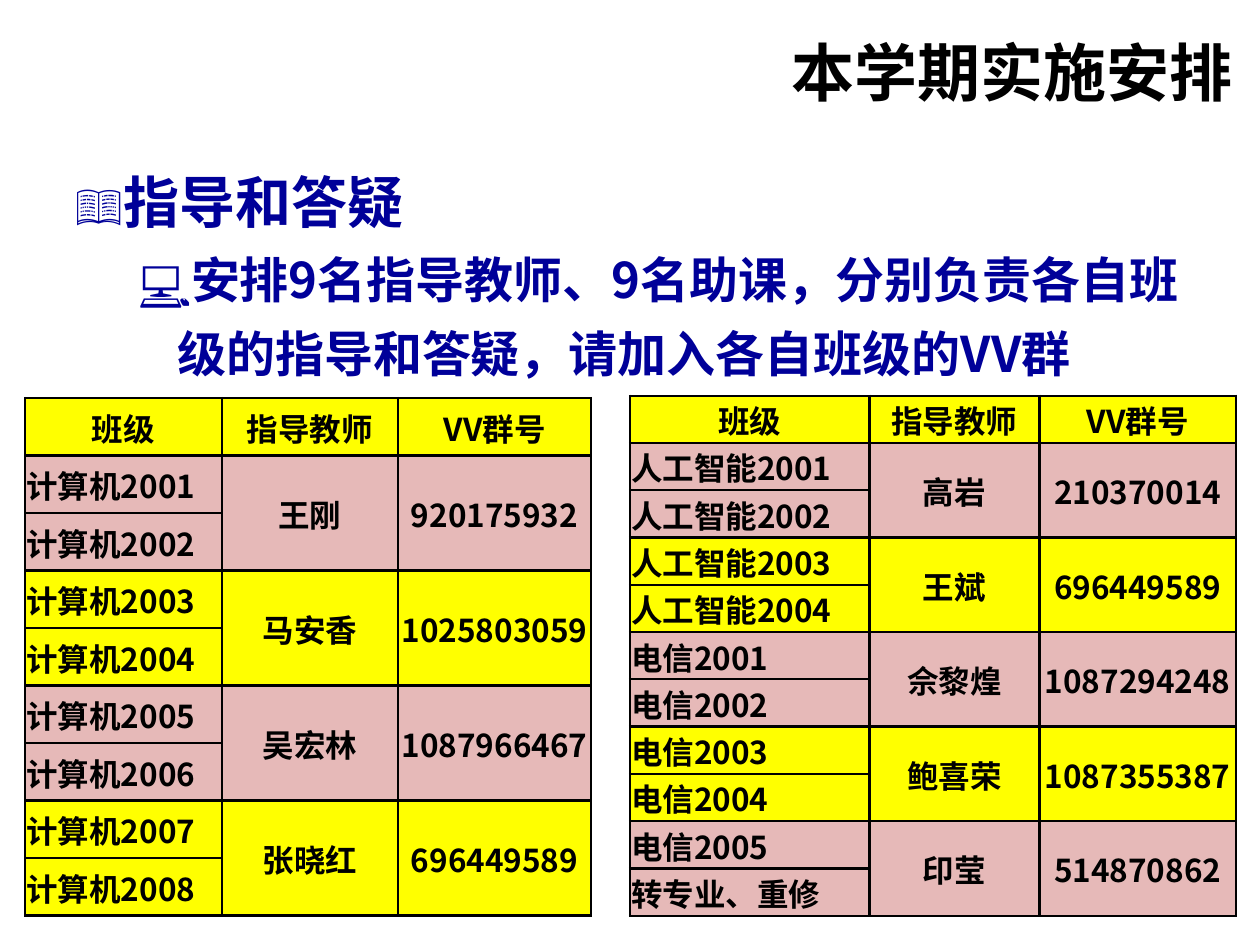
import pptx
import pptx.dml.color
import pptx.enum.text
import pptx.oxml
import pptx.oxml.ns
import pptx.util
from pptx.dml.color import RGBColor
from pptx.util import Inches

BLACK = RGBColor(0x00, 0x00, 0x00)
NAVY = RGBColor(0x00, 0x00, 0x99)
YELLOW = RGBColor(0xFF, 0xFF, 0x00)
PINK = RGBColor(0xE6, 0xB9, 0xB8)
FONT = "Noto Sans CJK SC"
ALIGN = pptx.enum.text.PP_ALIGN
MIDDLE = pptx.enum.text.MSO_ANCHOR.MIDDLE
A_NS = pptx.oxml.ns.nsdecls("a")

CELL_FORMAT = {
    "margin_left": Inches(0.01),
    "margin_right": Inches(0.01),
    "margin_top": Inches(0.01),
    "margin_bottom": 0,
    "vertical_anchor": MIDDLE,
}
HEADINGS = ["班级", "指导教师", "VV群号"]

# Each group: two classes, their teacher, their chat group number
COMPUTING = [
    (["计算机2001", "计算机2002"], "王刚", "920175932"),
    (["计算机2003", "计算机2004"], "马安香", "1025803059"),
    (["计算机2005", "计算机2006"], "吴宏林", "1087966467"),
    (["计算机2007", "计算机2008"], "张晓红", "696449589"),
]
AI_AND_TELECOM = [
    (["人工智能2001", "人工智能2002"], "高岩", "210370014"),
    (["人工智能2003", "人工智能2004"], "王斌", "696449589"),
    (["电信2001", "电信2002"], "佘黎煌", "1087294248"),
    (["电信2003", "电信2004"], "鲍喜荣", "1087355387"),
    (["电信2005", "转专业、重修"], "印莹", "514870862"),
]


def set_all(target, values):
    for name, value in values.items():
        setattr(target, name, value)


def write(paragraph, text, size, color, align=ALIGN.LEFT):
    paragraph.alignment = align
    run = paragraph.add_run()
    run.text = text
    set_all(run.font, {"name": FONT, "size": pptx.util.Pt(size), "bold": True})
    run.font.color.rgb = color
    run.font._element.find(pptx.oxml.ns.qn("a:latin")).addnext(
        pptx.oxml.parse_xml(f'<a:ea {A_NS} typeface="{FONT}"/>'))


def add_frame(slide, left, top, width, height):
    frame = slide.shapes.add_textbox(
        Inches(left), Inches(top), Inches(width), Inches(height)).text_frame
    frame.word_wrap = True
    return frame


def set_bullet(paragraph, symbol, margin, indent, percent):
    properties = paragraph._p.get_or_add_pPr()
    properties.set("marL", str(Inches(margin)))
    properties.set("indent", str(Inches(indent)))
    for xml in (f'<a:buSzPct {A_NS} val="{percent * 1000}"/>',
                f'<a:buFont {A_NS} typeface="{FONT}"/>',
                f'<a:buChar {A_NS} char="{symbol}"/>'):
        properties.append(pptx.oxml.parse_xml(xml))


def fill_cell(cell, text, color, align):
    set_all(cell, CELL_FORMAT)
    properties = cell._tc.get_or_add_tcPr()
    for side in "LRTB":
        properties.append(pptx.oxml.parse_xml(
            f'<a:ln{side} {A_NS} w="{pptx.util.Pt(1.5)}"><a:solidFill>'
            f'<a:srgbClr val="{BLACK}"/></a:solidFill></a:ln{side}>'))
    cell.fill.solid()
    cell.fill.fore_color.rgb = color
    if text:
        write(cell.text_frame.paragraphs[0], text, 18, BLACK, align)


def add_class_table(slide, left, top, height, widths, groups):
    row_count = 1 + 2 * len(groups)
    table = slide.shapes.add_table(
        row_count, len(widths), Inches(left), Inches(top),
        Inches(sum(widths)), Inches(height)).table
    for column, width in zip(table.columns, widths):
        column.width = Inches(width)
    for row in table.rows:
        row.height = Inches(height / row_count)

    # Heading row
    for column, heading in enumerate(HEADINGS):
        fill_cell(table.cell(0, column), heading, YELLOW, ALIGN.CENTER)

    # Two rows per teacher, in alternating colours
    for index, (classes, teacher, number) in enumerate(groups):
        first = 1 + 2 * index
        color = YELLOW if index % 2 else PINK
        for offset, class_name in enumerate(classes):
            fill_cell(table.cell(first + offset, 0), class_name, color, ALIGN.LEFT)
        for column, text in enumerate([teacher, number], start=1):
            upper, lower = table.cell(first, column), table.cell(first + 1, column)
            upper.merge(lower)
            fill_cell(upper, text, color, ALIGN.CENTER)
            fill_cell(lower, "", color, ALIGN.CENTER)


def add_title(slide):
    title = add_frame(slide, 2.48, 0.13, 7.4, 0.87)
    title.vertical_anchor = MIDDLE
    write(title.paragraphs[0], "本学期实施安排", 36, BLACK, ALIGN.RIGHT)


def add_guidance(slide):
    guidance = add_frame(slide, 0.5, 1.15, 9, 2)
    topic = guidance.paragraphs[0]
    detail = guidance.add_paragraph()
    detail.level = 1
    write(topic, "指导和答疑", 32, NAVY)
    write(detail, "安排9名指导教师、9名助课，分别负责各自"
                  "班级的指导和答疑，请加入各自班级的VV群", 28, NAVY)
    topic.line_spacing = pptx.util.Pt(48)
    detail.line_spacing = pptx.util.Pt(42)
    set_bullet(topic, "📖", 0.38, -0.38, 80)
    set_bullet(detail, "💻", 0.81, -0.31, 100)


def main():
    deck = pptx.Presentation()
    deck.slide_width, deck.slide_height = Inches(10), Inches(7.5)
    slide = deck.slides.add_slide(deck.slide_layouts[6])
    add_title(slide)
    add_class_table(slide, 0.2, 3.16, 4.11, [1.56, 1.4, 1.53], COMPUTING)
    add_class_table(slide, 5, 3.14, 4.13, [1.9, 1.35, 1.56], AI_AND_TELECOM)
    add_guidance(slide)
    deck.save("out.pptx")


main()
